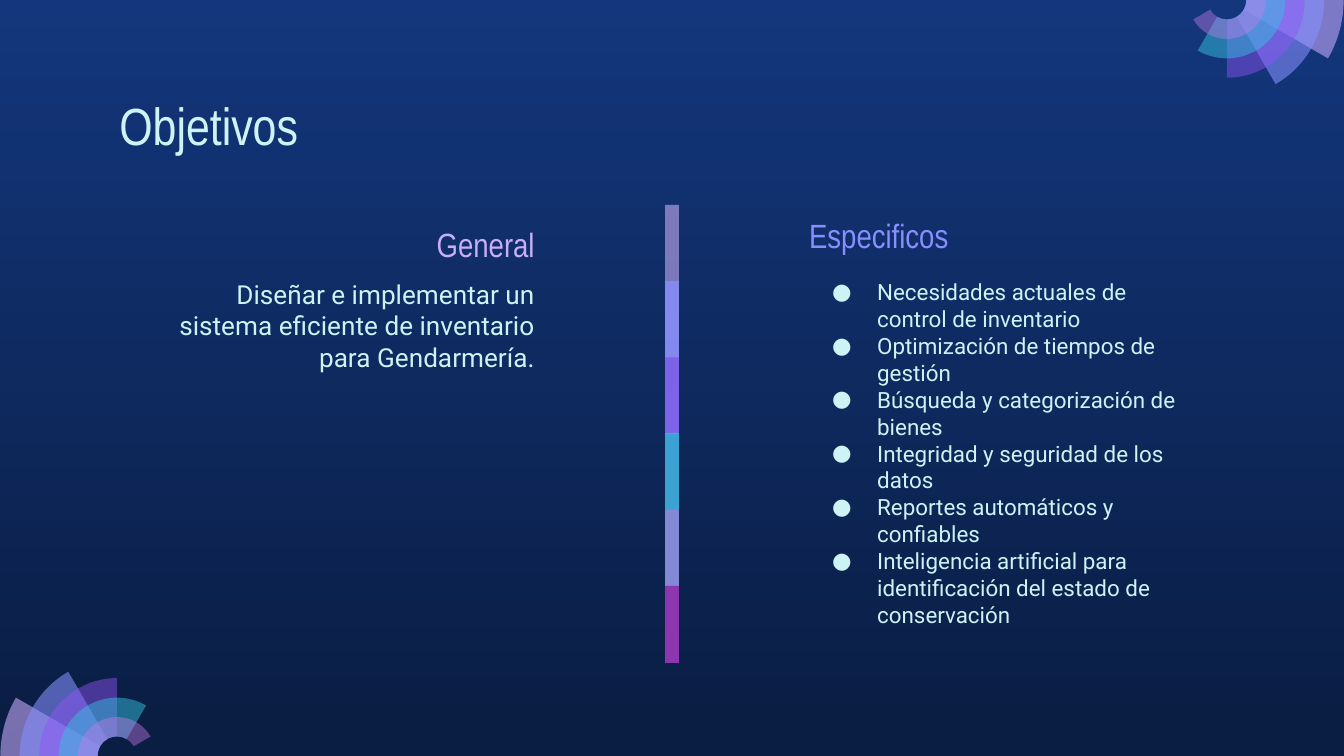
import math
from dataclasses import dataclass

from lxml import etree
from pptx import Presentation
from pptx import util as u
from pptx.dml.color import RGBColor
from pptx.enum import shapes, text
from pptx.oxml import ns

PX_PER_INCH = 134.4
COLORS = {
    "sky": "13367C", "night": "0A1D42", "ice": "CEF3F5",
    "lilac": "C8AEF8", "pale": "C8ACFD", "indigo": "878FFF",
    "violet": "9154F8", "cyan": "35C2DF", "orchid": "CA7BEB",
    "magenta": "972CB4",
}
HEAD_FONT, BODY_FONT = "Arial Narrow", "Roboto"
LEFT, RIGHT = text.PP_ALIGN.LEFT, text.PP_ALIGN.RIGHT
TOP, BOTTOM = text.MSO_ANCHOR.TOP, text.MSO_ANCHOR.BOTTOM
Point = tuple[int, int]


@dataclass
class Tint:
    color: str
    opacity: int


@dataclass
class Bar:
    top: int
    height: int
    tint: Tint


@dataclass
class TextBlock:
    left: int
    top: int
    width: int
    height: int
    lines: list[str]
    size: int
    color: str
    font: str = BODY_FONT
    align: text.PP_ALIGN = LEFT
    anchor: text.MSO_ANCHOR = TOP
    bulleted: bool = False


# Rings from the outermost inwards; each one sweeps 30 degrees further
RINGS = [Tint("pale", 58), Tint("indigo", 58), Tint("violet", 46),
         Tint("cyan", 49), Tint("orchid", 42)]
RING_WIDTH = 19.45

BARS = [
    Bar(205, 153, Tint("lilac", 59)),
    Bar(281, 153, Tint("indigo", 74)),
    Bar(357, 153, Tint("violet", 53)),
    Bar(433, 153, Tint("cyan", 76)),
    Bar(510, 153, Tint("orchid", 56)),
    Bar(586, 77, Tint("magenta", 74)),
]

TITLE = TextBlock(106, 80, 1133, 84, ["Objetivos"], 28, "ice", HEAD_FONT)
BLOCKS = [
    TextBlock(208, 220, 340, 58, ["General"], 18, "lilac", HEAD_FONT, RIGHT, BOTTOM),
    TextBlock(161, 265, 387, 113,
              ["Diseñar e implementar un sistema eficiente de inventario para Gendarmería."],
              14, "ice", align=RIGHT),
    TextBlock(796, 211, 340, 58, ["Especificos"], 18, "indigo", HEAD_FONT, anchor=BOTTOM),
    TextBlock(796, 265, 442, 399, [
        "Necesidades actuales de control de inventario",
        "Optimización de tiempos de gestión",
        "Búsqueda y categorización de bienes",
        "Integridad y seguridad de los datos",
        "Reportes automáticos y confiables",
        "Inteligencia artificial para identificación del estado de conservación",
    ], 12, "ice", bulleted=True),
]


def px(value: float) -> u.Emu:
    return u.Emu(round(value * 914400 / PX_PER_INCH))


def rgb(name: str) -> RGBColor:
    return RGBColor.from_string(COLORS[name])


def paint(shape, tint: Tint) -> None:
    shape.shadow.inherit = False
    shape.line.fill.background()
    shape.fill.solid()
    shape.fill.fore_color.rgb = rgb(tint.color)
    color = shape.fill._xPr.find(".//" + ns.qn("a:srgbClr"))
    etree.SubElement(color, ns.qn("a:alpha"), val=str(tint.opacity * 1000))


def add_bullet(para, block: TextBlock) -> None:
    props = para._p.get_or_add_pPr()
    for name, length in (("marL", 68), ("marR", 38), ("indent", -45)):
        props.set(name, str(px(length)))
    bullet_color = etree.SubElement(props, ns.qn("a:buClr"))
    etree.SubElement(bullet_color, ns.qn("a:srgbClr"), val=COLORS[block.color])
    etree.SubElement(props, ns.qn("a:buFont"), typeface=block.font)
    etree.SubElement(props, ns.qn("a:buChar"), char="●")


def write_block(box, block: TextBlock) -> None:
    box.left, box.top = px(block.left), px(block.top)
    box.width, box.height = px(block.width), px(block.height)
    frame = box.text_frame
    frame.word_wrap = True
    frame.auto_size = text.MSO_AUTO_SIZE.NONE
    frame.vertical_anchor = block.anchor
    frame.margin_left = frame.margin_right = u.Inches(0.1)
    frame.margin_top = frame.margin_bottom = u.Inches(0.1)
    for number, line in enumerate(block.lines):
        para = frame.add_paragraph() if number else frame.paragraphs[0]
        para.alignment = block.align
        if block.bulleted:
            add_bullet(para, block)
        span = para.add_run()
        span.text = line
        span.font.name = block.font
        span.font.size = u.Pt(block.size)
        span.font.color.rgb = rgb(block.color)


def arc_points(center: Point, radius: float, start: int, end: int) -> list[Point]:
    """Bézier points of a clockwise arc, with one curve per quarter turn."""
    def point(angle: int, pull: float = 0) -> Point:
        cos, sin = math.cos(math.radians(angle)), math.sin(math.radians(angle))
        return (px(center[0] + radius * (cos - pull * sin)),
                px(center[1] + radius * (sin + pull * cos)))

    points = [point(start)]
    for first in range(start, end, 90):
        last = min(first + 90, end)
        pull = 4 / 3 * math.tan(math.radians(last - first) / 4)
        points += [point(first, pull), point(last, -pull), point(last)]
    return points


def bend(lines: list) -> None:
    """Turn each three line segments into one cubic curve."""
    for index in range(0, len(lines), 3):
        trio = lines[index:index + 3]
        curve = etree.Element(ns.qn("a:cubicBezTo"))
        trio[0].addprevious(curve)
        for line in trio:
            curve.append(line[0])
            line.getparent().remove(line)


def draw_fan(page, center: Point, start: int) -> None:
    fan = page.shapes.add_group_shape()
    for index, tint in enumerate(RINGS):
        end = start + 30 * (index + 1)
        outer = arc_points(center, RING_WIDTH * (6 - index), start, end)
        inner = arc_points(center, RING_WIDTH, start, end)[::-1]
        builder = fan.shapes.build_freeform(*outer[0])
        builder.add_line_segments(outer[1:] + inner, close=True)
        sector = builder.convert_to_shape()
        lines = list(sector._element.iter(ns.qn("a:lnTo")))
        bend(lines[:len(outer) - 1])
        bend(lines[len(outer):])
        paint(sector, tint)


def draw_bar(divider, bar: Bar) -> None:
    shape = divider.shapes.add_shape(shapes.MSO_SHAPE.RECTANGLE,
                                     px(665), px(bar.top), px(14), px(bar.height))
    paint(shape, bar.tint)


def main() -> None:
    deck = Presentation()
    deck.slide_width, deck.slide_height = px(1344), px(756)
    page = deck.slides.add_slide(deck.slide_layouts[5])

    # Background
    backdrop = page.background.fill
    backdrop.gradient()
    backdrop.gradient_angle = 270
    for stop, name, position in zip(backdrop.gradient_stops, ("sky", "night"), (0, 1)):
        stop.color.rgb = rgb(name)
        stop.position = position

    # Corner fans
    draw_fan(page, (117, 756), 180)
    draw_fan(page, (1227, 0), 0)

    # Title and columns
    write_block(page.shapes.title, TITLE)
    for block in BLOCKS:
        write_block(page.shapes.add_textbox(0, 0, 0, 0), block)

    # Central divider
    divider = page.shapes.add_group_shape()
    for bar in BARS:
        draw_bar(divider, bar)

    deck.save("out.pptx")


if __name__ == "__main__":
    main()
